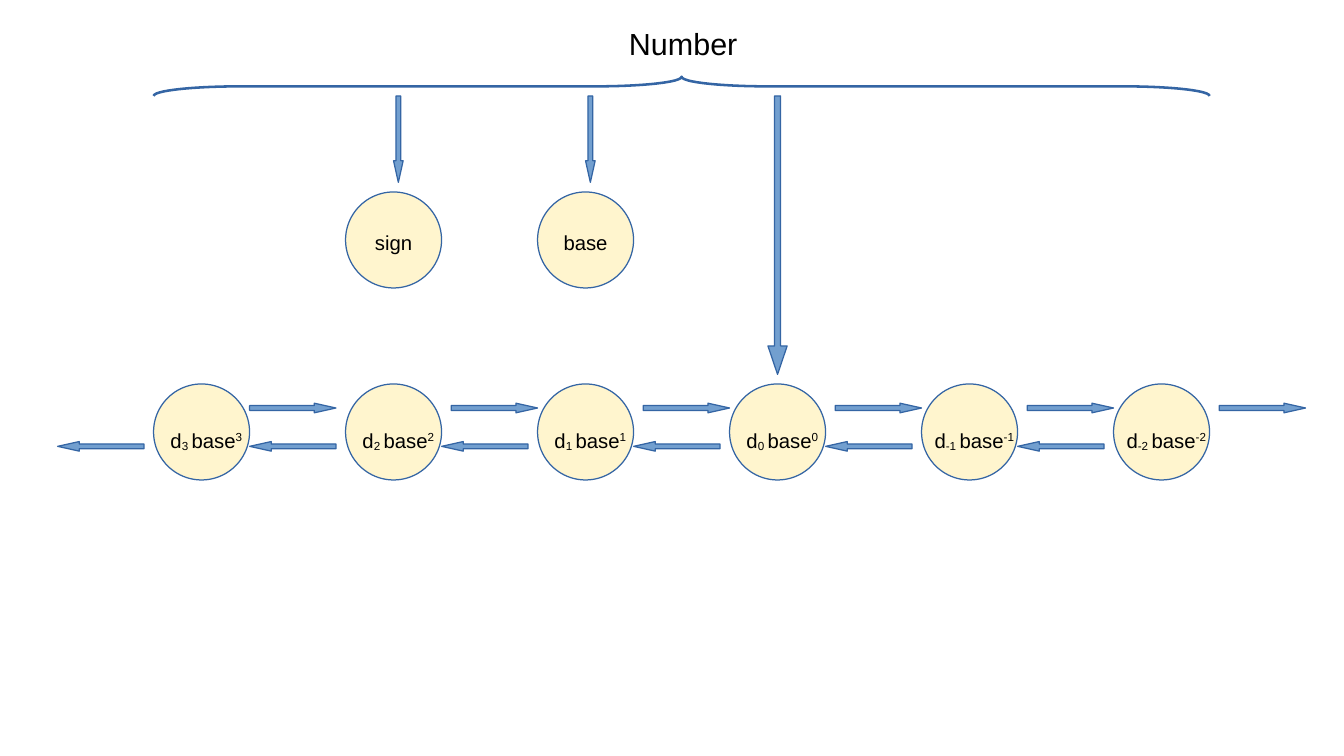
from pptx import Presentation
from pptx.dml.color import RGBColor
from pptx.enum.shapes import MSO_SHAPE as Kind
from pptx.enum.text import MSO_ANCHOR as Anchor, MSO_AUTO_SIZE as Auto, PP_ALIGN as Align
from pptx.util import Cm, Pt

BLUE, STEEL, CREAM, BLACK = "3465A4", "729FCF", "FFF5CE", "000000"
LEFT, STEP, SIZE = 3.2, 4, 2
ROW, TOP = 8, 4
POWERS = ["3", "2", "1", "0", "-1", "-2"]


def color(code):
    """Turn a hex string into a colour."""
    return RGBColor.from_string(code)


def shape(slide, kind, box, fill=None, width=0, turn=0, adjust=()):
    """Draw an outlined preset shape; box is left, top, width, height in cm."""
    item = slide.shapes.add_shape(kind, *map(Cm, box))
    item.shadow.inherit = False
    if fill:
        item.fill.solid()
        item.fill.fore_color.rgb = color(fill)
    else:
        item.fill.background()
    item.line.color.rgb = color(BLUE)
    item.line.width = Pt(width)
    item.rotation = turn
    for index, value in enumerate(adjust):
        item.adjustments[index] = value


def arrow(slide, x, y, long=1.8, wide=0.2, turn=0, adjust=(0.5, 2.25)):
    """Draw a block arrow centred on a point, pointing down before its turn."""
    box = (x - wide / 2, y - long / 2, wide, long)
    shape(slide, Kind.DOWN_ARROW, box, STEEL, turn=turn, adjust=adjust)


def write(frame, parts, size, align):
    """Fill a text frame with (text, baseline) parts in one paragraph."""
    frame.word_wrap = False
    frame.auto_size = Auto.SHAPE_TO_FIT_TEXT
    frame.vertical_anchor = Anchor.TOP
    line = frame.paragraphs[0]
    line.alignment = align
    line.font.name = "Arial"
    line.font.size = Pt(size)
    line.font.color.rgb = color(BLACK)
    for text, base in parts:
        run = line.add_run()
        run.text = text
        if base:
            run._r.get_or_add_rPr().set("baseline", str(base * 1000))


def label(slide, box, parts):
    """Add a centred label over a node."""
    frame = slide.shapes.add_textbox(*map(Cm, box)).text_frame
    write(frame, parts, 12, Align.CENTER)


def node(slide, x, y):
    """Draw one round node."""
    shape(slide, Kind.OVAL, (x, y, SIZE, SIZE), CREAM)


def title(slide):
    """Place the title above the brace."""
    head = slide.shapes.title
    head.left, head.top, head.width, head.height = map(Cm, (12.85, 0.4, 2.77, 0.97))
    write(head.text_frame, [("Number", 0)], 18, Align.LEFT)


def fields(slide):
    """Draw the sign and base nodes with their arrows."""
    for index, name in enumerate(["sign", "base"], 1):
        x = LEFT + index * STEP
        node(slide, x, TOP)
        label(slide, (x + 0.2, 4.67, 1.6, 0.73), [(name, 0)])
        arrow(slide, x + 1.1, 2.9)


def digits(slide):
    """Draw the linked row of digit nodes."""
    for index, power in enumerate(POWERS):
        x = LEFT + index * STEP
        node(slide, x, ROW)
        parts = [("d", 0), (power + " ", -8), ("base", 0), (power, 33)]
        label(slide, (x, 8.8, 2.2, 0.8), parts)
        arrow(slide, x + (3.1 if index else 2.9), 8.5, turn=270)
        arrow(slide, x - 1.1, 9.3, turn=90)


def main():
    """Build and save the slide."""
    deck = Presentation()
    deck.slide_width, deck.slide_height = Cm(28), Cm(15.75)
    slide = deck.slides.add_slide(deck.slide_layouts[5])
    title(slide)
    shape(slide, Kind.LEFT_BRACE, (14, -9.2, 0.4, 22), width=1.5, turn=90, adjust=(4.5, 0.5))
    fields(slide)
    digits(slide)
    arrow(slide, 16.2, 4.9, long=5.8, wide=0.4, adjust=(0.32, 1.48))
    deck.save("out.pptx")


if __name__ == "__main__":
    main()
